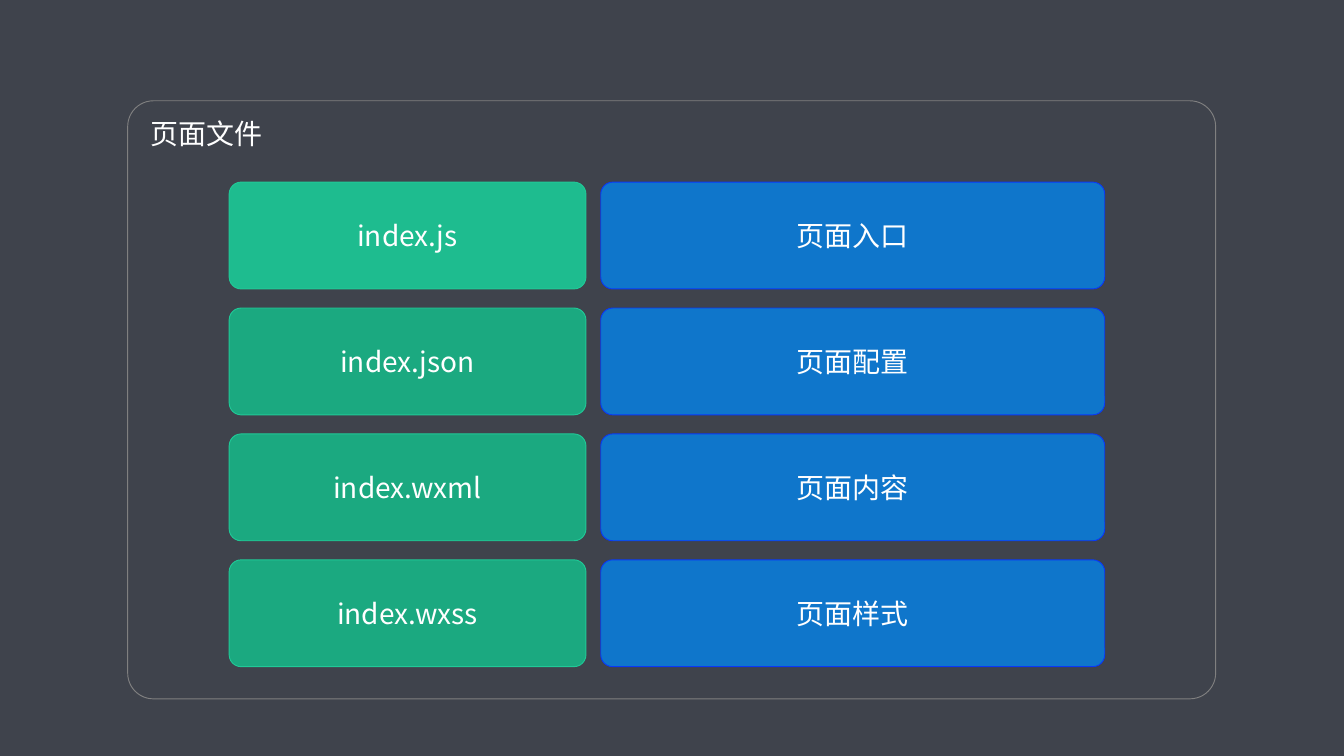
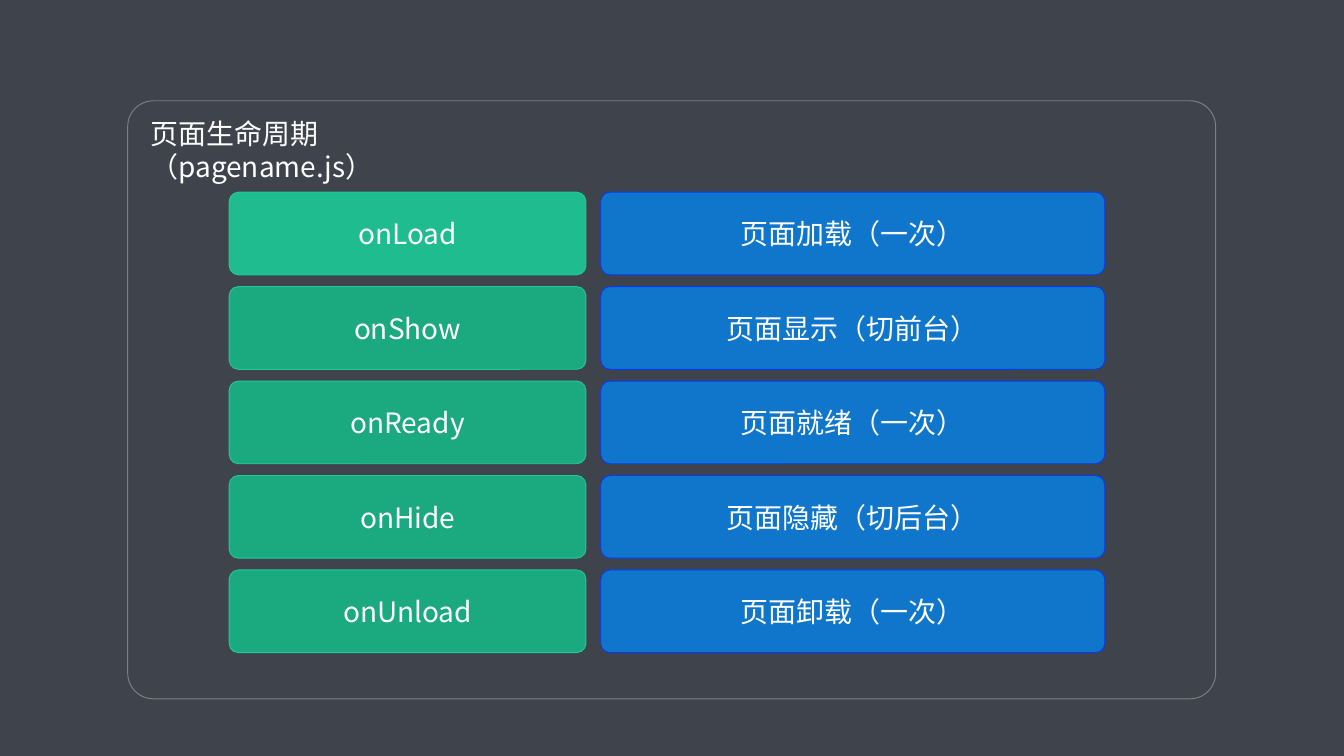
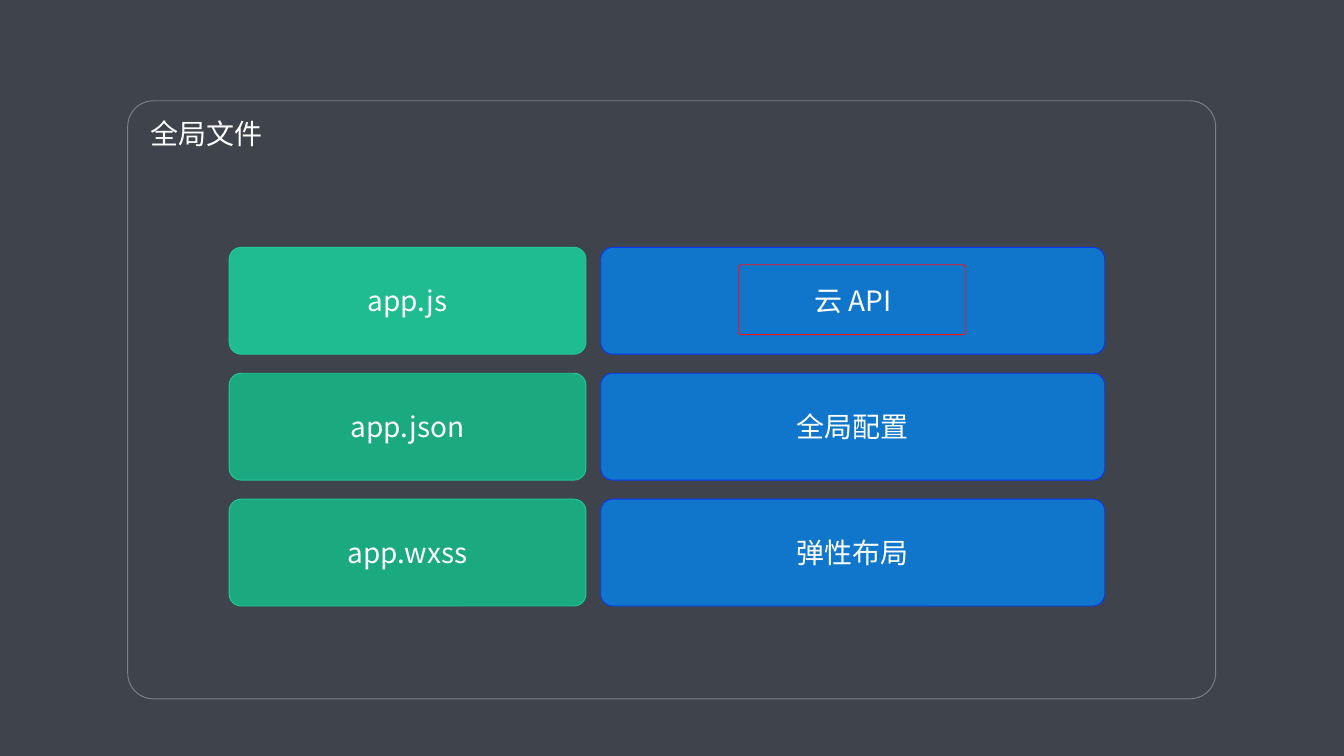
from pptx import Presentation
from pptx.dml.color import RGBColor
from pptx.enum.shapes import MSO_SHAPE
from pptx.enum.text import MSO_ANCHOR, MSO_AUTO_SIZE, PP_ALIGN
from pptx.oxml.ns import qn
from pptx.util import Pt
from lxml import etree

ROUND = MSO_SHAPE.ROUNDED_RECTANGLE
LEFT, CENTER = PP_ALIGN.LEFT, PP_ALIGN.CENTER
MIDDLE = MSO_ANCHOR.MIDDLE
GROW = MSO_AUTO_SIZE.SHAPE_TO_FIT_TEXT

DARK = RGBColor(0x3F, 0x43, 0x4C)
GRAY = RGBColor(0x80, 0x80, 0x80)
WHITE = RGBColor(0xFF, 0xFF, 0xFF)
MINT = RGBColor(0x1E, 0xBC, 0x8F)
GREEN = RGBColor(0x1B, 0xA9, 0x80)
GREEN_EDGE = RGBColor(0x20, 0xC9, 0x97)
BLUE = RGBColor(0x0F, 0x76, 0xCB)
BLUE_EDGE = RGBColor(0x09, 0x39, 0xF7)
RED = RGBColor(0xFF, 0x11, 0x11)

FONT = "Noto Sans CJK SC"
FRAME = (136.8, 108, 1165.7, 640.8)
MARK = (791.3, 283.7, 243.4, 74.9)
NAME_X, NAME_W = 245.5, 382.3
ROLE_X, ROLE_W = 643.7, 540
FRAME_ADJ, CARD_ADJ = 0.043, 0.112
TALL = (114.5, 134.9)
SHORT = (88.6, 101.2)

PAGES = [
    ("页面文件", 135.4, 195.1, TALL, None, [
        ("index.js", "页面入口"),
        ("index.json", "页面配置"),
        ("index.wxml", "页面内容"),
        ("index.wxss", "页面样式"),
    ]),
    ("页面生命周期（pagename.js）", 412.6, 205.9, SHORT, None, [
        ("onLoad", "页面加载（一次）"),
        ("onShow", "页面显示（切前台）"),
        ("onReady", "页面就绪（一次）"),
        ("onHide", "页面隐藏（切后台）"),
        ("onUnload", "页面卸载（一次）"),
    ]),
    ("全局文件", 135.4, 265, TALL, MARK, [
        ("app.js", "云 API"),
        ("app.json", "全局配置"),
        ("app.wxss", "弹性布局"),
    ]),
]


def write(frame, text, size=30, color=WHITE, align=LEFT):
    """Put one formatted line of text into a text frame."""
    frame.word_wrap = True
    para = frame.paragraphs[0]
    para.alignment = align
    run = para.add_run()
    run.text = text
    run.font.size = Pt(size)
    run.font.name = FONT
    run.font.color.rgb = color
    east = etree.SubElement(run.font._element, qn("a:ea"))
    east.set("typeface", FONT)


def add_box(slide, box, edge, fill=None, adj=FRAME_ADJ):
    """Draw a rounded box, hollow unless a fill is given."""
    shape = slide.shapes.add_shape(ROUND, *map(Pt, box))
    shape.adjustments[0] = adj
    shape.shadow.inherit = False
    shape.line.color.rgb = edge
    shape.line.width = Pt(1)
    if fill is None:
        shape.fill.background()
    else:
        shape.fill.solid()
        shape.fill.fore_color.rgb = fill
    return shape


def add_card(slide, text, box, fill, edge):
    """Draw a filled box with centred text."""
    frame = add_box(slide, box, edge, fill, CARD_ADJ).text_frame
    frame.vertical_anchor = MIDDLE
    write(frame, text, align=CENTER)


def add_title(slide, text, width):
    """Write the title in the corner of the frame."""
    box = slide.shapes.add_textbox(Pt(154.1), Pt(121), Pt(width), Pt(43.9))
    write(box.text_frame, text)
    box.text_frame.auto_size = GROW


def add_rows(slide, rows, top, height, pitch):
    """Stack pairs of name and role cards."""
    for i, (name, role) in enumerate(rows):
        y = top + i * pitch
        fill = GREEN if i else MINT
        add_card(slide, name, (NAME_X, y, NAME_W, height), fill, GREEN_EDGE)
        add_card(slide, role, (ROLE_X, y, ROLE_W, height), BLUE, BLUE_EDGE)


def add_page(deck, title, width, top, size, mark, rows):
    """Build one slide with its frame, title and card rows."""
    slide = deck.slides.add_slide(deck.slide_layouts[6])
    slide.background.fill.solid()
    slide.background.fill.fore_color.rgb = DARK
    add_box(slide, FRAME, GRAY)
    add_title(slide, title, width)
    add_rows(slide, rows, top, *size)
    if mark:
        add_box(slide, mark, RED)


def main():
    """Build and save the deck."""
    deck = Presentation()
    deck.slide_width, deck.slide_height = Pt(1440), Pt(810)
    for page in PAGES:
        add_page(deck, *page)
    deck.save("out.pptx")


if __name__ == "__main__":
    main()
